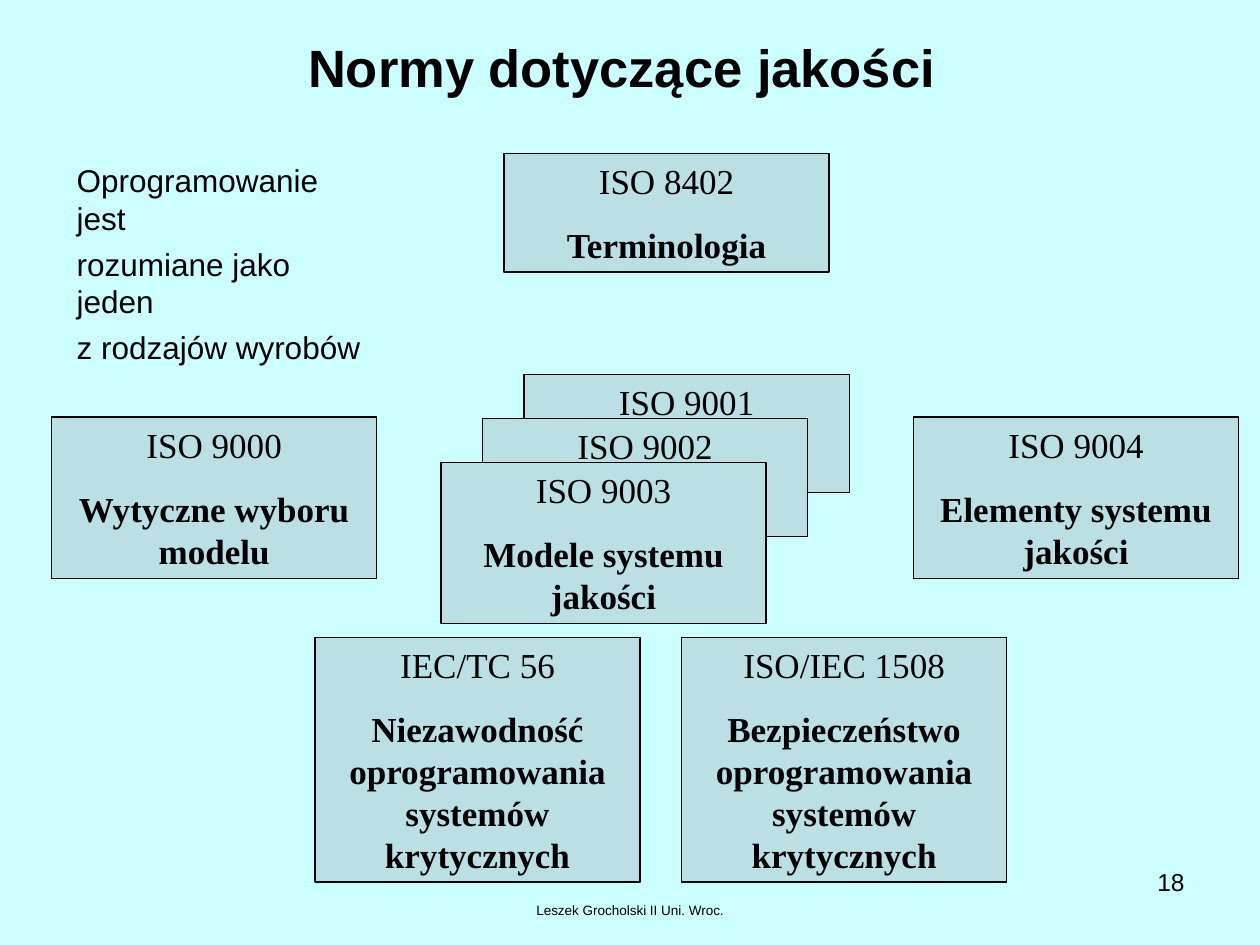
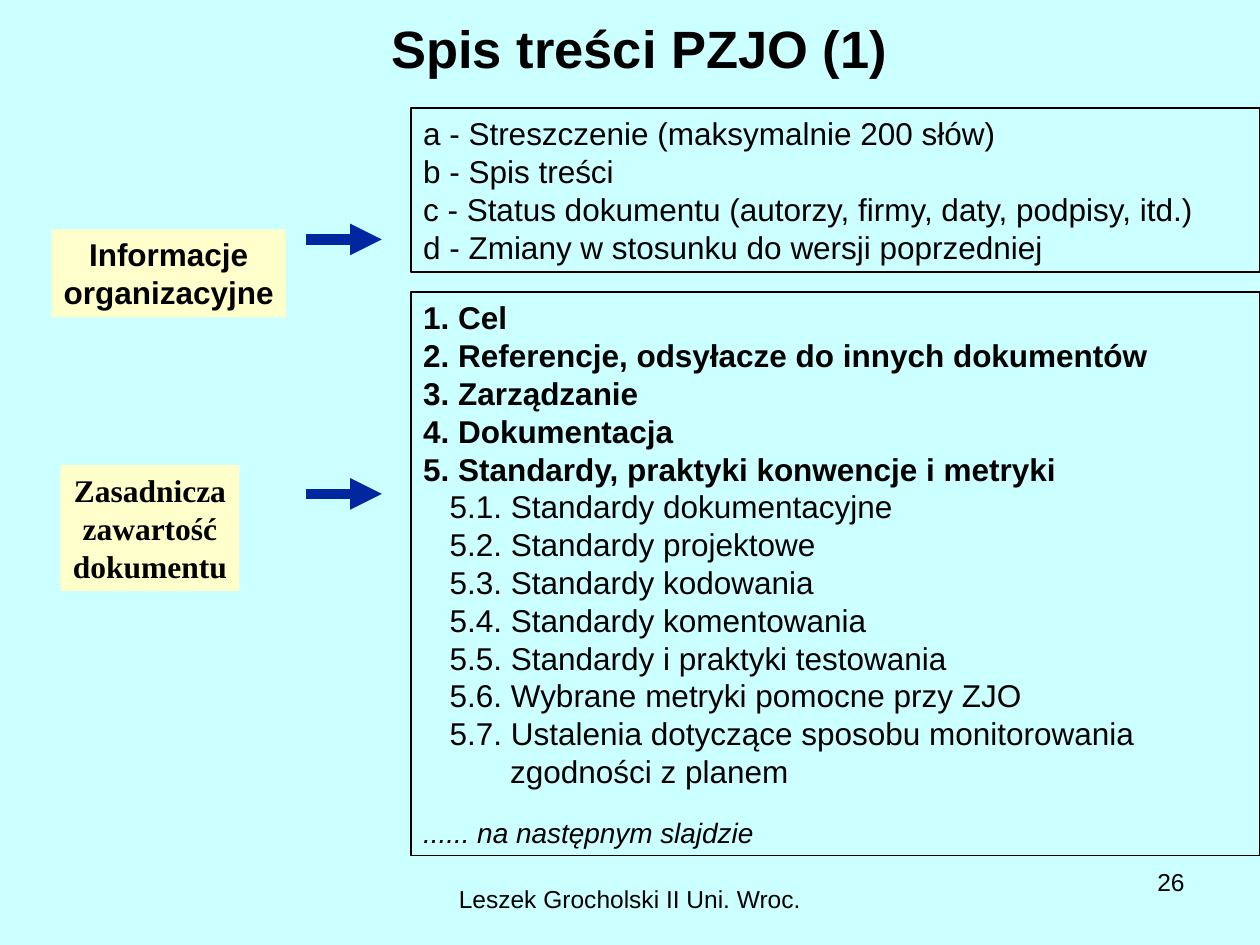
from lxml import etree
from pptx import Presentation
from pptx.dml.color import RGBColor
from pptx.enum.shapes import MSO_CONNECTOR, MSO_SHAPE
from pptx.enum.text import MSO_ANCHOR, PP_ALIGN
from pptx.oxml.ns import qn
from pptx.util import Inches, Pt

LEFT, CENTER, RIGHT = PP_ALIGN.LEFT, PP_ALIGN.CENTER, PP_ALIGN.RIGHT
TOP, MIDDLE = MSO_ANCHOR.TOP, MSO_ANCHOR.MIDDLE
RECT, STRAIGHT = MSO_SHAPE.RECTANGLE, MSO_CONNECTOR.STRAIGHT

SANS, SERIF = "Arial", "Times New Roman"
BACKGROUND, BLACK = "CCFFFF", "000000"
NORM_FILL, LABEL_FILL, ARROW_BLUE = "BBE0E3", "FFFFCC", "00279F"
LEADING = 1.2
NORM_WIDTH = 2.58
AUTHOR = "Leszek Grocholski II Uni. Wroc."


def rgb(value):
    return RGBColor.from_string(value)


def write(shape, lines, size=18, font=SANS, bold=False, align=LEFT,
          anchor=TOP, wrap=True, gap=0):
    """Fill a shape with lines; a line is a string or (string, overrides)."""
    tf = shape.text_frame
    tf.word_wrap = wrap
    tf.vertical_anchor = anchor
    for i, line in enumerate(lines):
        text, own = (line, {}) if isinstance(line, str) else line
        p = tf.add_paragraph() if i else tf.paragraphs[0]
        p.text = text
        p.alignment = align
        points = own.get("size", size)
        p.line_spacing = Pt(points * LEADING)
        p.space_before = Pt(own.get("gap", gap) if i else 0)
        p.font.size = Pt(points)
        p.font.name = font
        p.font.bold = own.get("bold", bold)
        p.font.italic = own.get("italic", False)
        p.font.color.rgb = rgb(BLACK)
        if "margin" in own:
            pPr = p._p.get_or_add_pPr()
            pPr.set("marL", str(Inches(own["margin"])))
            pPr.set("indent", str(Inches(own["indent"])))


def add_text(s, box, lines, **style):
    write(s.shapes.add_textbox(*map(Inches, box)), lines, **style)


def add_box(shapes, box, lines, fill, line_width=0, **style):
    sp = shapes.add_shape(RECT, *map(Inches, box))
    sp.shadow.inherit = False
    sp.fill.solid()
    sp.fill.fore_color.rgb = rgb(fill)
    if line_width:
        sp.line.color.rgb = rgb(BLACK)
        sp.line.width = Pt(line_width)
    else:
        sp.line.fill.background()
    write(sp, lines, **style)


def add_norm(shapes, left, top, height, number, subject=None):
    lines = [number]
    if subject:
        lines.append((subject, {"bold": True}))
    add_box(shapes, (left, top, NORM_WIDTH, height), lines, NORM_FILL, 0.75,
            size=20, font=SERIF, align=CENTER, gap=12.5)


def add_norm_stack(s, left, top):
    """Three overlapping norms, each a step lower and further left."""
    group = s.shapes.add_group_shape()
    norms = [(0.94, "ISO 9001"), (0.94, "ISO 9002"),
             (1.28, "ISO 9003", "Modele systemu jakości")]
    for i, norm in enumerate(norms):
        add_norm(group.shapes, left - 0.33 * i, top + 0.35 * i, *norm)


def add_arrow(s, left, y, length=0.6):
    c = s.shapes.add_connector(STRAIGHT, Inches(left), Inches(y),
                               Inches(left + length), Inches(y))
    c.line.color.rgb = rgb(ARROW_BLUE)
    c.line.width = Pt(6)
    etree.SubElement(c.line._get_or_add_ln(), qn("a:tailEnd"), type="triangle")
    etree.SubElement(c._element.spPr, qn("a:effectLst"))


def add_slide(prs, title, title_box, number, footer_box, footer_size):
    s = prs.slides.add_slide(prs.slide_layouts[6])
    s.background.fill.solid()
    s.background.fill.fore_color.rgb = rgb(BACKGROUND)
    add_text(s, footer_box, [AUTHOR], size=footer_size, align=CENTER)
    add_text(s, (7.17, 6.83, 2.33, 0.52), [number], size=14, align=RIGHT)
    add_text(s, title_box, [title], size=30, bold=True, align=CENTER,
             anchor=MIDDLE)
    return s


def quality_norms(prs):
    s = add_slide(prs, "Normy dotyczące jakości", (0.21, 0.21, 9.45, 0.63),
                  "18", (3.42, 7.11, 3.16, 0.24), 7.7)
    add_norm_stack(s, 4.16, 2.97)
    for norm in [
        (7.25, 3.31, 1.28, "ISO 9004", "Elementy systemu jakości"),
        (0.41, 3.31, 1.28, "ISO 9000", "Wytyczne wyboru modelu"),
        (4, 1.22, 0.94, "ISO 8402", "Terminologia"),
        (5.41, 5.06, 1.94, "ISO/IEC 1508",
         "Bezpieczeństwo oprogramowania systemów krytycznych"),
        (2.5, 5.06, 1.94, "IEC/TC 56",
         "Niezawodność oprogramowania systemów krytycznych"),
    ]:
        add_norm(s.shapes, *norm)
    add_text(s, (0.51, 1.23, 2.57, 1.13),
             ["Oprogramowanie jest", "rozumiane jako jeden",
              "z rodzajów wyrobów"], wrap=False, gap=4.5)


def plan_contents(prs):
    s = add_slide(prs, "Spis treści PZJO (1)", (0.5, 0, 9.15, 0.76),
                  "26", (3.42, 6.97, 3.16, 0.38), 14)
    front_matter = [
        "a - Streszczenie (maksymalnie 200 słów)",
        "b - Spis treści",
        "c - Status dokumentu (autorzy, firmy, daty, podpisy, itd.)",
        "d - Zmiany w stosunku do wersji poprzedniej",
    ]
    chapters = ["Cel", "Referencje, odsyłacze do innych dokumentów",
                "Zarządzanie", "Dokumentacja",
                "Standardy, praktyki konwencje i metryki"]
    sections = ["Standardy dokumentacyjne", "Standardy projektowe",
                "Standardy kodowania", "Standardy komentowania",
                "Standardy i praktyki testowania",
                "Wybrane metryki pomocne przy ZJO",
                "Ustalenia dotyczące sposobu monitorowania zgodności z planem"]
    hanging = {"margin": 0.69, "indent": -0.48}
    body = [(f"{i}. {t}", {"bold": True}) for i, t in enumerate(chapters, 1)]
    body += [(f"5.{i}. {t}", hanging) for i, t in enumerate(sections, 1)]
    body.append(("...... na następnym slajdzie",
                 {"size": 16, "italic": True, "gap": 14.4}))

    add_box(s.shapes, (3.26, 0.86, 6.74, 1.3), front_matter, BACKGROUND, 1)
    add_box(s.shapes, (3.26, 2.32, 6.74, 4.47), body, BACKGROUND, 1)
    label = {"fill": LABEL_FILL, "bold": True, "align": CENTER, "wrap": False}
    add_box(s.shapes, (0.41, 1.82, 1.86, 0.7),
            ["Informacje", "organizacyjne"], **label)
    add_box(s.shapes, (0.48, 3.69, 1.42, 1),
            ["Zasadnicza", "zawartość", "dokumentu"], font=SERIF, **label)
    for y in (1.9, 3.92):
        add_arrow(s, 2.43, y)


def main():
    prs = Presentation()
    prs.slide_width, prs.slide_height = Inches(10), Inches(7.5)
    quality_norms(prs)
    plan_contents(prs)
    prs.save("out.pptx")


if __name__ == "__main__":
    main()
